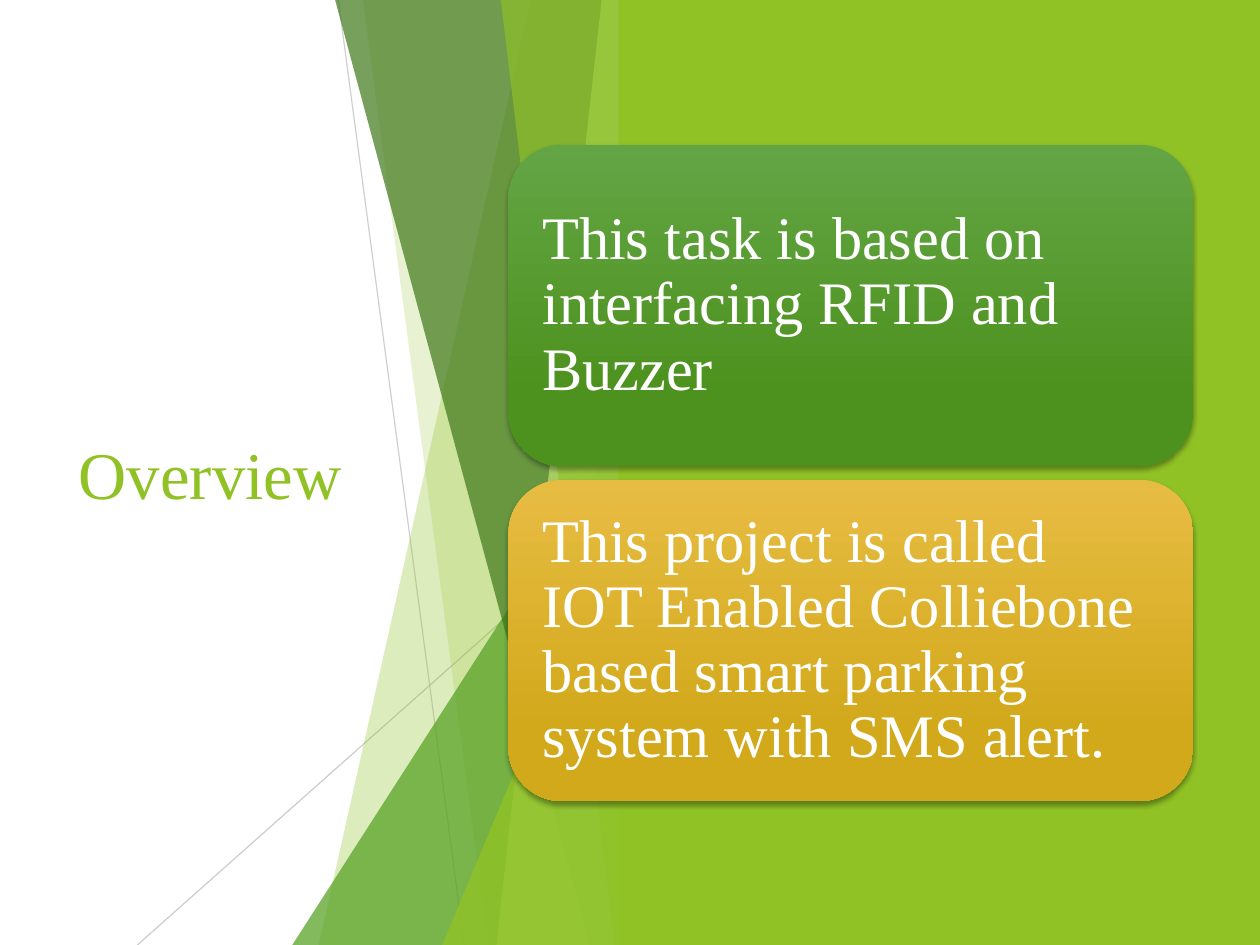
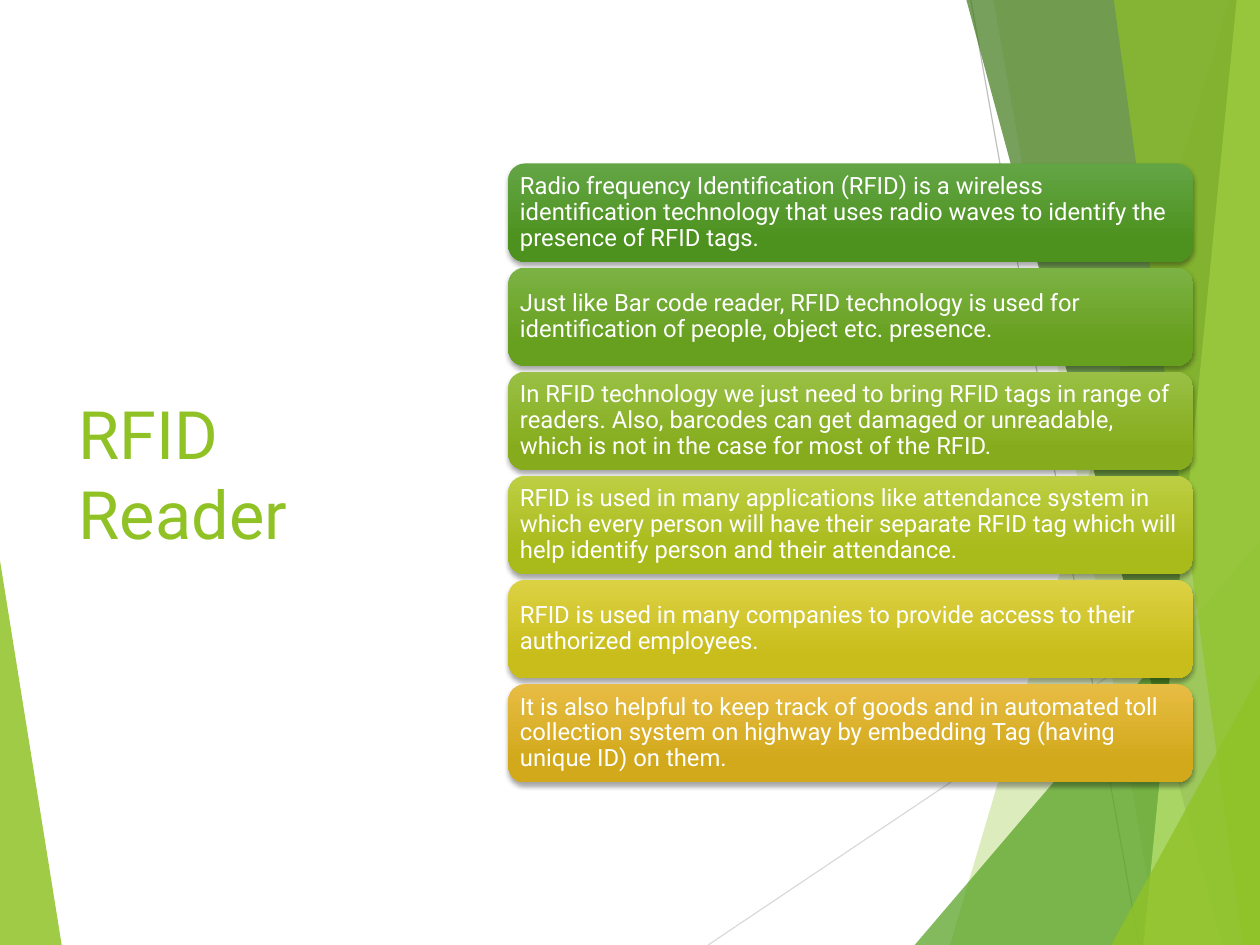
"""Build two slides about an RFID project with a faceted green design."""

import dataclasses
import typing

import lxml.etree
import pptx
import pptx.dml.color
import pptx.enum.shapes
import pptx.enum.text
import pptx.oxml.ns
import pptx.util

WIDTH, HEIGHT = pptx.util.Cm(28), pptx.util.Cm(21)
COLOURS = {
    "lime": "90C226",
    "leaf": "54A021",
    "forest": "3F7819",
    "pale": "C0E474",
    "silver": "BFBFBF",
    "mist": "D9D9D9",
    "white": "FFFFFF",
    "shadow": "000000",
}
CARD_TINTS = {
    "green": ("63A545", "4D921E"),
    "grass": ("7BB244", "679F1E"),
    "apple": ("99C044", "86AC1D"),
    "olive": ("BDCE43", "A9BA1B"),
    "lemon": ("DCD143", "C8BD1A"),
    "amber": ("E7BC43", "D2A91B"),
}


@dataclasses.dataclass(frozen=True)
class Tone:
    """A colour name with its opacity in percent."""

    colour: str
    opacity: int = 100


@dataclasses.dataclass(frozen=True)
class Facet:
    """A sliver reaching left of an edge, in columns, from its apex row down."""

    top: float
    bottom: float
    apex: float = 0


@dataclasses.dataclass(frozen=True)
class Ray:
    """A thin line between two points given as (columns left of edge, row)."""

    start: tuple[float, float]
    end: tuple[float, float]
    tone: Tone


@dataclasses.dataclass(frozen=True)
class Card:
    """A rounded card with its tint and wording."""

    tint: str
    wording: str


@dataclasses.dataclass(frozen=True)
class Topic:
    """Everything that differs from one slide to the next."""

    title: str
    font: str
    edge: float
    facets: list[Facet]
    rays: list[Ray]
    cards: list[Card]
    card_height: float
    card_gap: float
    card_inset: float
    card_size: int
    right_panel: bool = False
    left_wedge: bool = False


FACET_TONES = [
    Tone("lime", 30),
    Tone("lime", 20),
    Tone("leaf", 72),
    Tone("forest", 70),
    Tone("pale", 70),
    Tone("lime", 65),
    Tone("lime", 80),
]
WEDGE = Facet(0, -4.9, 59.3)

TOPICS = [
    Topic(
        title="Overview",
        font="Times New Roman",
        edge=50,
        facets=[
            Facet(7.9, 24.7),
            Facet(21.2, 11.25),
            Facet(0, 26.8, 44.4),
            Facet(23.4, 3.2),
            Facet(2.25, 10.6),
            Facet(10.25, 1.2),
            Facet(0, 14.9, 52.35),
        ],
        rays=[
            Ray((23.15, 0), (13.15, 100), Tone("silver", 75)),
            Ray((0, 53.7), (39.1, 100), Tone("silver", 80)),
        ],
        cards=[
            Card("green", "This task is based on interfacing RFID and Buzzer"),
            Card("amber", "This project is called IOT Enabled Colliebone based "
                          "smart parking system with SMS alert."),
        ],
        card_height=34,
        card_gap=1.45,
        card_inset=0.16,
        card_size=38,
        right_panel=True,
    ),
    Topic(
        title="RFID Reader",
        font="Roboto",
        edge=100,
        facets=[
            Facet(2.45, 24.6),
            Facet(21.15, 8),
            Facet(0, 27.4, 57.2),
            Facet(23.3, 3),
            Facet(1.85, 9.25),
            Facet(11.6, 1.35),
            Facet(0, 11.8, 71.35),
        ],
        rays=[
            Ray((0, 60.8), (43.8, 100), Tone("mist")),
            Ray((22.95, 0), (9.6, 100), Tone("silver")),
        ],
        cards=[
            Card("green", "Radio frequency Identification (RFID) is a wireless "
                          "identification technology that uses radio waves to "
                          "identify the presence of RFID tags."),
            Card("grass", "Just like Bar code reader, RFID technology is used for "
                          "identification of people, object etc. presence."),
            Card("apple", "In RFID technology we just need to bring RFID tags in "
                          "range of readers. Also, barcodes can get damaged or "
                          "unreadable, which is not in the case for most of the "
                          "RFID."),
            Card("olive", "RFID is used in many applications like attendance "
                          "system in which every person will have their separate "
                          "RFID tag which will help identify person and their "
                          "attendance."),
            Card("lemon", "RFID is used in many companies to provide access to "
                          "their authorized employees."),
            Card("amber", "It is also helpful to keep track of goods and in "
                          "automated toll collection system on highway by "
                          "embedding Tag (having unique ID) on them."),
        ],
        card_height=10.4,
        card_gap=0.62,
        card_inset=0.06,
        card_size=15,
        left_wedge=True,
    ),
]


def across(columns: float) -> pptx.util.Emu:
    """Turn hundredths of the slide width into a length."""
    return pptx.util.Emu(round(WIDTH * columns / 100))


def down(rows: float) -> pptx.util.Emu:
    """Turn hundredths of the slide height into a length."""
    return pptx.util.Emu(round(HEIGHT * rows / 100))


def rgb(hex_code: str) -> pptx.dml.color.RGBColor:
    """Turn a hex string into a colour."""
    return pptx.dml.color.RGBColor.from_string(hex_code)


def add_tag(parent: typing.Any, tag: str, **attributes: typing.Any) -> typing.Any:
    """Append a drawing element to its parent."""
    values = {key: str(value) for key, value in attributes.items()}
    return lxml.etree.SubElement(parent, pptx.oxml.ns.qn(tag), values)


def set_opacity(part: typing.Any, opacity: int) -> None:
    """Make the plain colours of a shape or line see-through."""
    if opacity < 100:
        for colour in part._element.spPr.iter(pptx.oxml.ns.qn("a:srgbClr")):
            add_tag(colour, "a:alpha", val=opacity * 1000)


def paint(part: typing.Any, tone: Tone) -> None:
    """Give a shape a flat fill without outline or shadow."""
    part.shadow.inherit = False
    part.fill.solid()
    part.fill.fore_color.rgb = rgb(COLOURS[tone.colour])
    part.line.fill.background()
    set_opacity(part, tone.opacity)


def write(holder: typing.Any, wording: str, *, font: str, size: int, colour: str,
          inset: float = 0.1, spacing: float = 1) -> None:
    """Fill a shape with left-aligned, vertically centred text."""
    frame = holder.text_frame
    frame.word_wrap = True
    frame.auto_size = pptx.enum.text.MSO_AUTO_SIZE.NONE
    frame.vertical_anchor = pptx.enum.text.MSO_ANCHOR.MIDDLE
    margin = pptx.util.Inches(inset)
    frame.margin_left = frame.margin_right = margin
    frame.margin_top = frame.margin_bottom = margin
    paragraph = frame.paragraphs[0]
    paragraph.alignment = pptx.enum.text.PP_ALIGN.LEFT
    paragraph.line_spacing = spacing
    run = paragraph.add_run()
    run.text = wording
    run.font.name = font
    run.font.size = pptx.util.Pt(size)
    run.font.color.rgb = rgb(COLOURS[colour])


def draw_facet(slide: typing.Any, edge: float, facet: Facet, tone: Tone) -> None:
    """Draw one sliver against a vertical edge."""
    outline = slide.shapes.build_freeform(across(edge - facet.top), down(facet.apex))
    outline.add_line_segments([
        (across(edge), down(facet.apex)),
        (across(edge), down(100)),
        (across(edge - facet.bottom), down(100)),
    ])
    paint(outline.convert_to_shape(), tone)


def draw_ray(slide: typing.Any, edge: float, ray: Ray) -> None:
    """Draw one thin line measured from a vertical edge."""
    (start_inset, start_row), (end_inset, end_row) = ray.start, ray.end
    line = slide.shapes.add_connector(
        pptx.enum.shapes.MSO_CONNECTOR.STRAIGHT,
        across(edge - start_inset), down(start_row),
        across(edge - end_inset), down(end_row),
    )
    line.line.color.rgb = rgb(COLOURS[ray.tone.colour])
    line.line.width = pptx.util.Pt(0.75)
    set_opacity(line, ray.tone.opacity)
    add_tag(line._element.spPr, "a:effectLst")


def draw_cards(slide: typing.Any, topic: Topic) -> None:
    """Stack the cards evenly around the middle of the slide."""
    pitch = topic.card_height + topic.card_gap
    first_row = 50.05 - (len(topic.cards) * pitch - topic.card_gap) / 2
    for index, card in enumerate(topic.cards):
        box = slide.shapes.add_shape(
            pptx.enum.shapes.MSO_SHAPE.ROUNDED_RECTANGLE,
            across(40.35), down(first_row + index * pitch),
            across(54.35), down(topic.card_height),
        )
        box.line.fill.background()
        box.fill.gradient()
        box.fill.gradient_angle = 270
        for stop, position, tint in zip(box.fill.gradient_stops, (0, 0.78),
                                        CARD_TINTS[card.tint]):
            stop.position = position
            stop.color.rgb = rgb(tint)
        box.shadow.inherit = False
        effects = box._element.spPr.find(pptx.oxml.ns.qn("a:effectLst"))
        shade = add_tag(effects, "a:outerShdw", blurRad=pptx.util.Pt(3),
                        dist=pptx.util.Pt(2), dir=90 * 60000, rotWithShape=0)
        add_tag(add_tag(shade, "a:srgbClr", val=COLOURS["shadow"]),
                "a:alpha", val=35000)
        write(box, card.wording, font=topic.font, size=topic.card_size,
              colour="white", inset=topic.card_inset, spacing=0.9)


def build_slide(deck: typing.Any, topic: Topic) -> None:
    """Add one slide with its title, facets and cards."""
    slide = deck.slides.add_slide(deck.slide_layouts[5])
    title = slide.shapes.title
    title.left, title.top = across(5.35), down(20.2)
    title.width, title.height = across(29.1), down(59.6)
    write(title, topic.title, font=topic.font, size=42, colour="lime")
    if topic.left_wedge:
        draw_facet(slide, 0, WEDGE, Tone("lime", 85))
    for ray in topic.rays:
        draw_ray(slide, topic.edge, ray)
    for facet, tone in zip(topic.facets, FACET_TONES):
        draw_facet(slide, topic.edge, facet, tone)
    if topic.right_panel:
        panel = slide.shapes.add_shape(pptx.enum.shapes.MSO_SHAPE.RECTANGLE,
                                       across(49.1), 0, across(50.9), down(100))
        paint(panel, Tone("lime"))
    draw_cards(slide, topic)


def main() -> None:
    """Build and save the presentation."""
    deck = pptx.Presentation()
    deck.slide_width, deck.slide_height = WIDTH, HEIGHT
    for topic in TOPICS:
        build_slide(deck, topic)
    deck.save("out.pptx")


if __name__ == "__main__":
    main()
